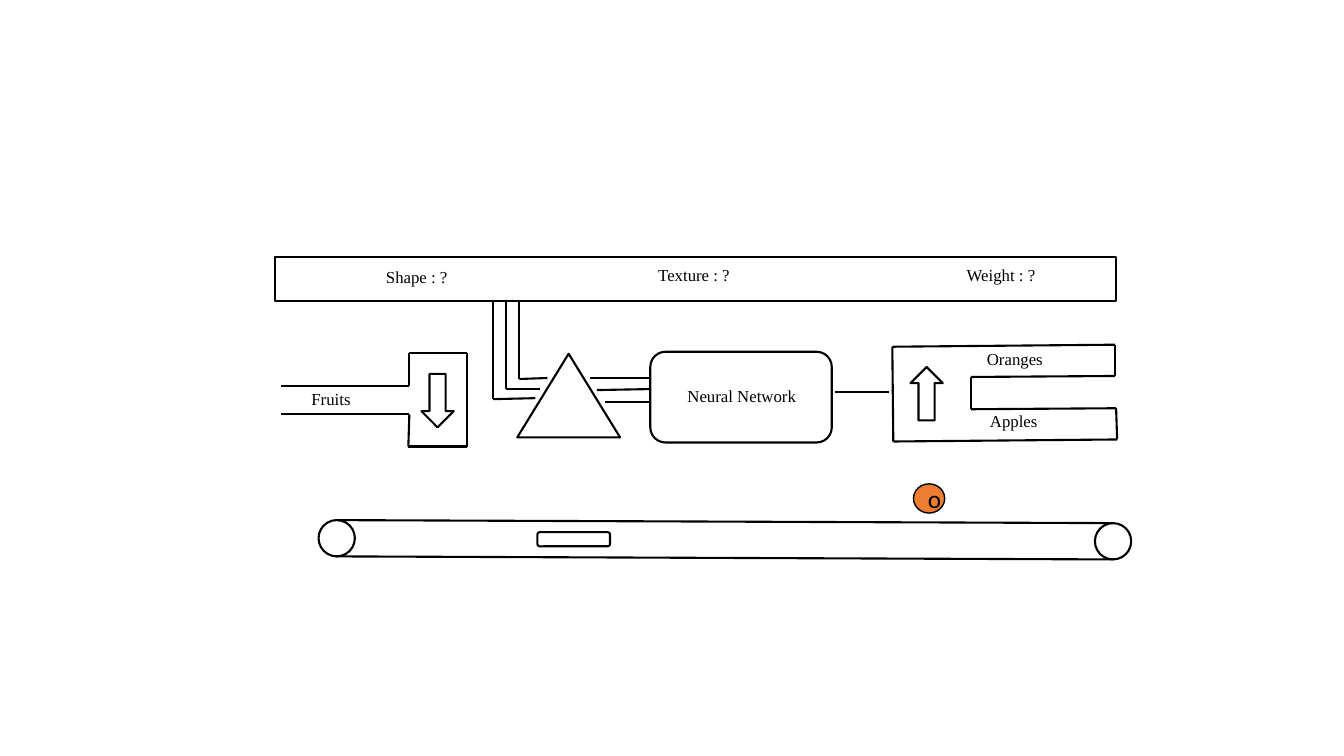
from dataclasses import dataclass
from itertools import pairwise

from lxml.etree import SubElement
from pptx import Presentation
from pptx.dml.color import RGBColor
from pptx.enum.shapes import MSO_CONNECTOR, MSO_SHAPE
from pptx.enum.text import MSO_ANCHOR, MSO_AUTO_SIZE, PP_ALIGN
from pptx.oxml.ns import qn
from pptx.shapes.autoshape import Shape
from pptx.slide import Slide
from pptx.text.text import TextFrame
from pptx.util import Emu, Pt

EMU_PER_PX = 9144
BLACK = RGBColor(0x00, 0x00, 0x00)
WHITE = RGBColor(0xFF, 0xFF, 0xFF)
ORANGE = RGBColor(0xED, 0x7D, 0x31)


@dataclass(frozen=True)
class Part:
    kind: MSO_SHAPE
    left: int
    top: int
    width: int
    height: int
    rotation: int = 0
    fill: RGBColor = WHITE
    line_width: float = 1.5


@dataclass(frozen=True)
class Label:
    text: str
    left: int
    top: int
    width: int


Route = list[tuple[int, int]]

PARTS = [
    Part(MSO_SHAPE.RECTANGLE, 273, 255, 834, 44),
    Part(MSO_SHAPE.ISOSCELES_TRIANGLE, 513, 351, 102, 83),
    Part(MSO_SHAPE.FLOWCHART_ALTERNATE_PROCESS, 645, 349, 180, 90),
    Part(MSO_SHAPE.DOWN_ARROW, 418, 371, 32, 53),
    Part(MSO_SHAPE.DOWN_ARROW, 903, 364, 32, 53, rotation=180),
    Part(MSO_SHAPE.OVAL, 316, 516, 36, 36),
    Part(MSO_SHAPE.OVAL, 1086, 519, 36, 36),
    Part(MSO_SHAPE.ROUNDED_RECTANGLE, 533, 528, 72, 14),
]
FRUIT = Part(MSO_SHAPE.OVAL, 906, 480, 31, 29, fill=ORANGE, line_width=1)

INTAKE: Route = [(279, 383), (406, 383), (406, 350), (463, 350),
                 (463, 443), (405, 443), (406, 411), (279, 411)]
SORTER: Route = [(885, 344), (886, 438), (1108, 436), (1107, 405), (963, 406),
                 (963, 374), (1106, 373), (1106, 342), (885, 344)]
SENSOR_WIRES: list[Route] = [
    [(515, 300), (515, 376), (543, 375)],
    [(502, 300), (502, 386), (536, 386)],
    [(489, 300), (489, 396), (531, 395)],
]
NETWORK_WIRES: list[Route] = [
    [(585, 375), (645, 375)],
    [(592, 387), (645, 386)],
    [(600, 399), (645, 399)],
    [(828, 389), (882, 389)],
]
BELT: list[Route] = [[(334, 516), (1105, 519)], [(333, 552), (1104, 555)]]
ROUTES = [INTAKE, SORTER, *SENSOR_WIRES, *NETWORK_WIRES, *BELT]

LABEL_HEIGHT = 30
LABELS = [
    Label("Shape : ?", 373, 260, 97),
    Label("Texture : ?", 643, 258, 97),
    Label("Weight : ?", 949, 258, 97),
    Label("Neural Network", 672, 378, 136),
    Label("Oranges", 969, 341, 136),
    Label("Apples", 972, 403, 136),
    Label("Fruits", 299, 381, 82),
]


def px(length: int) -> Emu:
    """Convert slide pixels to EMU."""
    return Emu(length * EMU_PER_PX)


def write(frame: TextFrame, text: str, font_name: str, size: int) -> None:
    """Put one black run into the first paragraph of a frame."""
    run = frame.paragraphs[0].add_run()
    run.text = text
    run.font.name = font_name
    run.font.size = Pt(size)
    run.font.color.rgb = BLACK


def draw_part(slide: Slide, part: Part) -> Shape:
    """Draw a filled preset shape with a black outline."""
    shape = slide.shapes.add_shape(
        part.kind, px(part.left), px(part.top), px(part.width), px(part.height))
    shape.rotation = part.rotation
    shape.shadow.inherit = False
    shape.fill.solid()
    shape.fill.fore_color.rgb = part.fill
    shape.line.color.rgb = BLACK
    shape.line.width = Pt(part.line_width)
    return shape


def draw_route(slide: Slide, route: Route) -> None:
    """Join consecutive points with straight black lines."""
    for start, end in pairwise(route):
        connector = slide.shapes.add_connector(
            MSO_CONNECTOR.STRAIGHT, *map(px, start + end))
        connector.line.color.rgb = BLACK
        connector.line.width = Pt(1.5)
        SubElement(connector.element.spPr, qn("a:effectLst"))


def draw_label(slide: Slide, label: Label) -> None:
    """Draw a left-aligned text box."""
    text_box = slide.shapes.add_textbox(
        px(label.left), px(label.top), px(label.width), px(LABEL_HEIGHT))
    frame = text_box.text_frame
    frame.word_wrap = True
    frame.auto_size = MSO_AUTO_SIZE.SHAPE_TO_FIT_TEXT
    write(frame, label.text, "Times New Roman", 12)


def draw_fruit(slide: Slide) -> None:
    """Draw the orange on the conveyor with its letter."""
    frame = draw_part(slide, FRUIT).text_frame
    frame.vertical_anchor = MSO_ANCHOR.MIDDLE
    frame.paragraphs[0].alignment = PP_ALIGN.CENTER
    write(frame, "o", "Calibri", 18)


def main() -> None:
    """Build the fruit sorting slide and save it."""
    presentation = Presentation()
    presentation.slide_width = px(1333)
    presentation.slide_height = px(750)
    slide = presentation.slides.add_slide(presentation.slide_layouts[6])
    for part in PARTS:
        draw_part(slide, part)
    for route in ROUTES:
        draw_route(slide, route)
    for label in LABELS:
        draw_label(slide, label)
    draw_fruit(slide)
    presentation.save("out.pptx")


if __name__ == "__main__":
    main()
